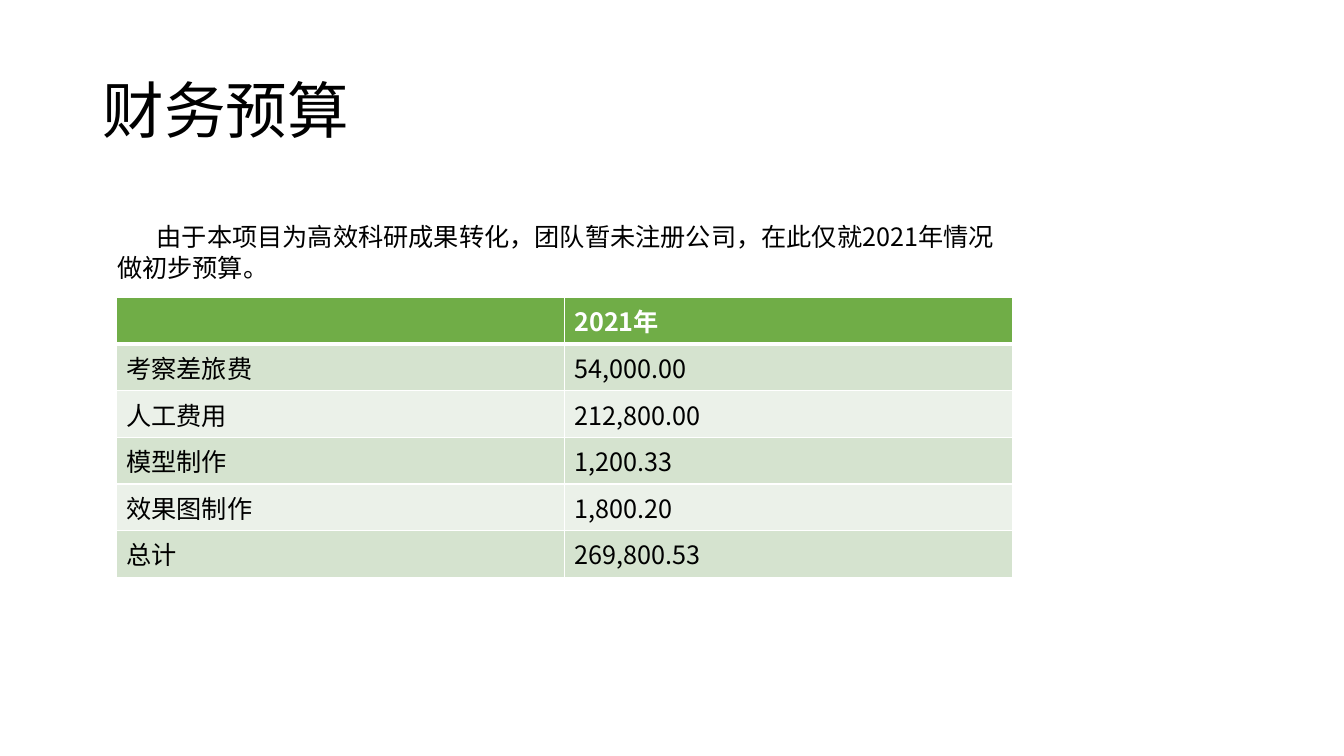
"""Build the budget slide: a title, an introduction and a cost table."""
import pptx
import pptx.dml.color
import pptx.enum.text
import pptx.oxml
import pptx.oxml.ns
import pptx.util
from pptx.util import Cm

TITLE = "财务预算"
INTRODUCTION = "由于本项目为高效科研成果转化，团队暂未注册公司，在此仅就2021年情况做初步预算。"
BUDGET = [
    ("", "2021年"),
    ("考察差旅费", "54,000.00"),
    ("人工费用", "212,800.00"),
    ("模型制作", "1,200.33"),
    ("效果图制作", "1,800.20"),
    ("总计", "269,800.53"),
]
COLORS = {
    "text": "000000",
    "white": "FFFFFF",
    "header": "70AD47",
    "odd": "D5E3CF",
    "even": "EBF1E9",
}
FONT = "Noto Sans CJK SC"
ROW_HEIGHT = Cm(1.17)
COLUMN_WIDTH = Cm(11.29)


def write_text(text_frame, text, size=18, color="text", bold=False, line_spacing=None):
    """Write one formatted paragraph and return it."""
    paragraph = text_frame.paragraphs[0]
    paragraph.alignment = pptx.enum.text.PP_ALIGN.LEFT
    paragraph.line_spacing = line_spacing
    run = paragraph.add_run()
    run.text = text
    run.font.size = pptx.util.Pt(size)
    run.font.bold = bold
    run.font.color.rgb = pptx.dml.color.RGBColor.from_string(COLORS[color])
    run.font.name = FONT
    east_asian = pptx.oxml.parse_xml(
        f'<a:ea {pptx.oxml.ns.nsdecls("a")} typeface="{FONT}"/>')
    run.font._element.append(east_asian)
    return paragraph


def set_borders(cell, **widths):
    """Draw white borders with the widths in points given by side."""
    properties = cell._tc.get_or_add_tcPr()
    for index, side in enumerate("LRTB"):
        width = pptx.util.Pt(widths.get(side, 1))
        properties.insert(index, pptx.oxml.parse_xml(
            f'<a:ln{side} {pptx.oxml.ns.nsdecls("a")} w="{width}"><a:solidFill>'
            f'<a:srgbClr val="{COLORS["white"]}"/></a:solidFill></a:ln{side}>'))


def add_title(slide):
    """Place the title."""
    title = slide.shapes.title
    title.left, title.top, title.width, title.height = Cm(2.33), Cm(1.01), Cm(29.21), Cm(3.68)
    title.text_frame.auto_size = pptx.enum.text.MSO_AUTO_SIZE.NONE
    title.text_frame.vertical_anchor = pptx.enum.text.MSO_ANCHOR.MIDDLE
    write_text(title.text_frame, TITLE, size=44, line_spacing=0.9)


def add_budget_table(slide):
    """Add the banded table of costs."""
    table = slide.shapes.add_table(
        len(BUDGET), len(BUDGET[0]), Cm(2.93), Cm(7.5),
        COLUMN_WIDTH * len(BUDGET[0]), ROW_HEIGHT * len(BUDGET)).table
    for row_index, row in enumerate(BUDGET):
        is_header = row_index == 0
        fill = "header" if is_header else ("even", "odd")[row_index % 2]
        for column_index, text in enumerate(row):
            cell = table.cell(row_index, column_index)
            cell.fill.solid()
            cell.fill.fore_color.rgb = pptx.dml.color.RGBColor.from_string(COLORS[fill])
            set_borders(cell, B=3 if is_header else 1, T=3 if row_index == 1 else 1)
            if text:
                write_text(cell.text_frame, text, bold=is_header,
                           color="white" if is_header else "text")


def add_introduction(slide):
    """Add the paragraph above the table."""
    box = slide.shapes.add_textbox(Cm(2.7), Cm(5.46), Cm(22.81), Cm(1.8))
    box.text_frame.word_wrap = True
    box.text_frame.auto_size = pptx.enum.text.MSO_AUTO_SIZE.SHAPE_TO_FIT_TEXT
    paragraph = write_text(box.text_frame, INTRODUCTION)
    paragraph._p.get_or_add_pPr().set("indent", str(Cm(1)))


def main():
    """Build and save the presentation."""
    presentation = pptx.Presentation()
    presentation.slide_width, presentation.slide_height = Cm(33.87), Cm(19.05)
    slide = presentation.slides.add_slide(presentation.slide_layouts[5])
    add_title(slide)
    add_budget_table(slide)
    add_introduction(slide)
    presentation.save("out.pptx")


if __name__ == "__main__":
    main()
